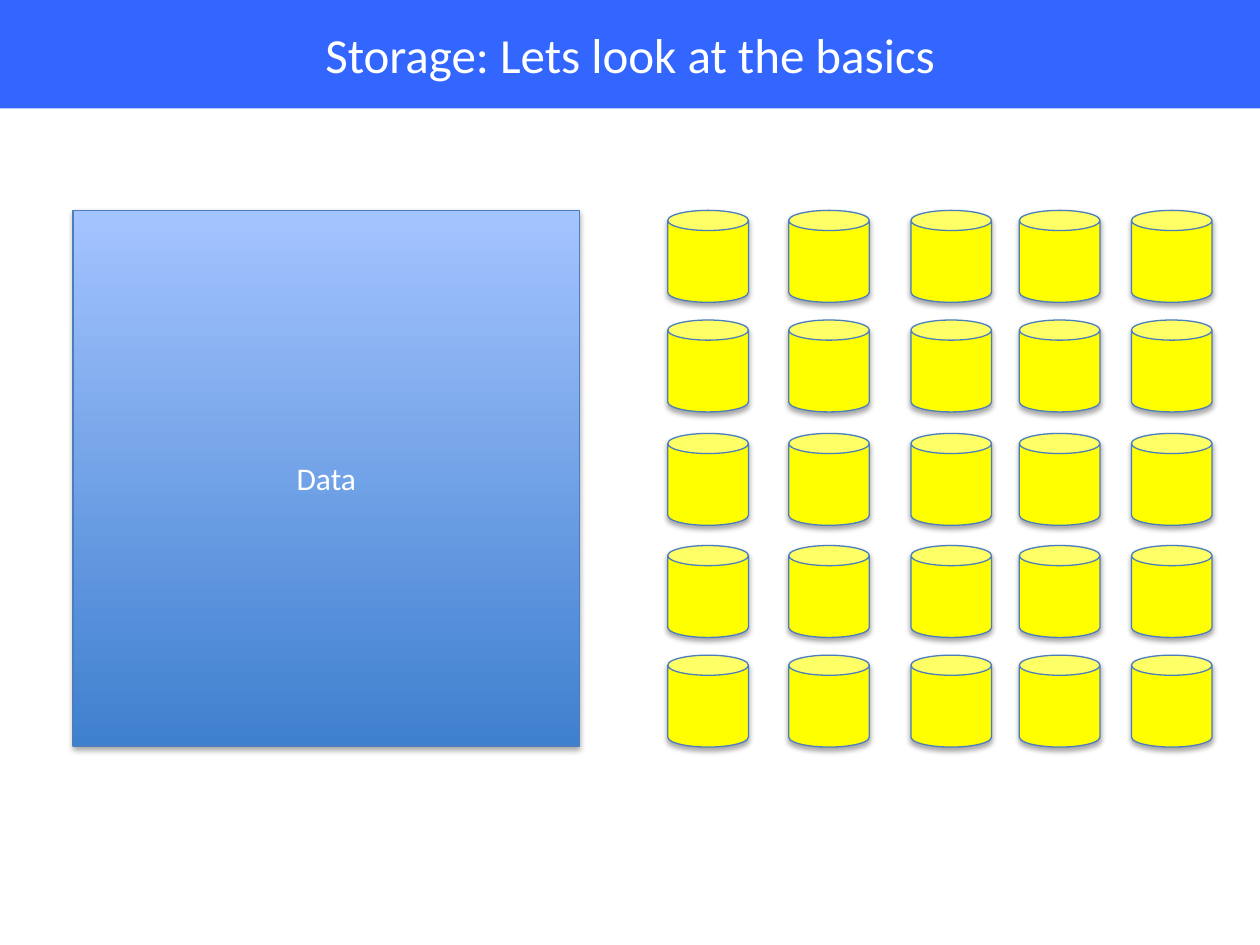
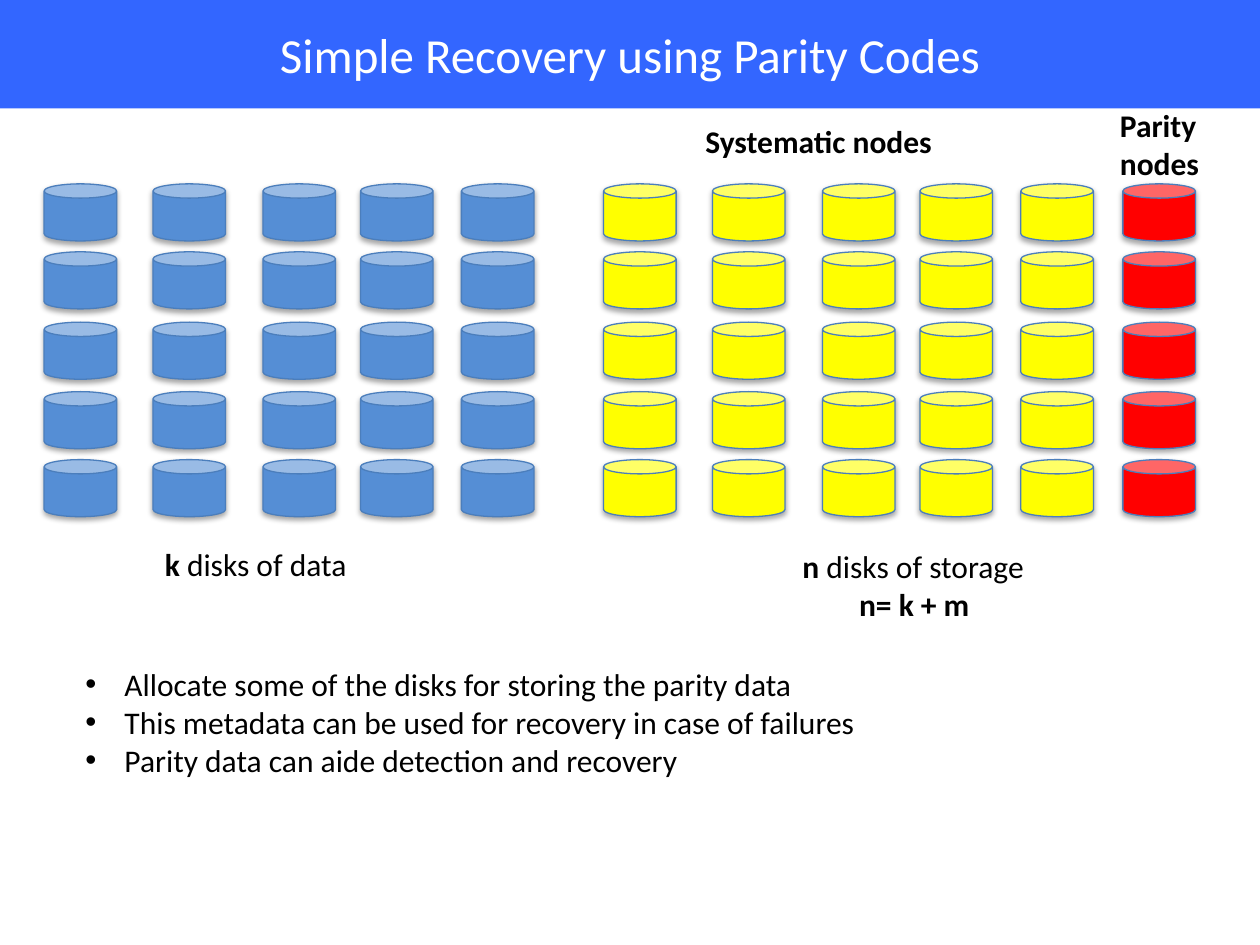
import pptx
import pptx.util
import pptx.dml.color
import pptx.enum.shapes
import pptx.enum.text
import pptx.oxml
import pptx.oxml.ns

Inches = pptx.util.Inches
Pt = pptx.util.Pt
Shape = pptx.enum.shapes.MSO_SHAPE
Align = pptx.enum.text.PP_ALIGN
Anchor = pptx.enum.text.MSO_ANCHOR
Fit = pptx.enum.text.MSO_AUTO_SIZE

HUES = {"band": "3366FF", "white": "FFFFFF", "black": "000000",
        "line": "4B7EBC", "disk": "FFFF00", "data": "558ED5",
        "parity": "FF0000", "dark": "3F80CE", "light": "A4C4FF"}
FONT = "Calibri"

TITLES = ["Storage: Lets look at the basics",
          "Simple Recovery using Parity Codes"]

COLS = [0, 0.96, 1.93, 2.79, 3.68, 4.58]
ROWS = [0, 0.87, 1.77, 2.66, 3.53]
CAN = (0.64, 0.73)
LARGE = (1, 1)
SMALL = (0.9, 0.62)

BANKS = [
    (0, 5.3, 1.67, LARGE, ["disk"] * 5),
    (1, 0.35, 1.46, SMALL, ["data"] * 5),
    (1, 4.79, 1.46, SMALL, ["disk"] * 5 + ["parity"]),
]

NOTES = [
    ((1.21, 4.28, 1.66, 0.4), [[("k", True), (" disks of data", False)]], 0),
    ((6.27, 4.29, 1.99, 0.71), [[("n", True), (" disks of storage", False)],
                                [("n= k + m", True)]], 0.45),
    ((5.5, 0.92, 2.03, 0.4), [[("Systematic nodes", True)]], 0),
    ((8.79, 0.79, 0.84, 0.71), [[("Parity", True)], [("nodes", True)]], 0),
]

POINTS = ["Allocate some of the disks for storing the parity data",
          "This metadata can be used for recovery in case of failures",
          "Parity data can aide detection and recovery"]


def rgb(name):
    return pptx.dml.color.RGBColor.from_string(HUES[name])


def style(para, size, hue):
    para.font.name = FONT
    para.font.size = Pt(size)
    para.font.color.rgb = rgb(hue)


def paint(shape, hue):
    shape.fill.solid()
    shape.fill.fore_color.rgb = rgb(hue)


def edge(shape):
    shape.line.color.rgb = rgb("line")
    shape.line.width = Pt(0.75)
    shape.shadow.inherit = False
    glow = shape._element.spPr.find(pptx.oxml.ns.qn("a:effectLst"))
    glow.append(pptx.oxml.parse_xml(
        f'<a:outerShdw {pptx.oxml.ns.nsdecls("a")} blurRad="{Pt(3.1)}" '
        f'dist="{Pt(1.8)}" dir="5400000" rotWithShape="0">'
        f'<a:srgbClr val="{HUES["black"]}"><a:alpha val="35000"/></a:srgbClr>'
        '</a:outerShdw>'))


def start(text):
    slide = deck.slides.add_slide(deck.slide_layouts[5])
    title = slide.shapes.title
    title.left, title.top = 0, 0
    title.width, title.height = deck.slide_width, Inches(0.86)
    paint(title, "band")
    title.text_frame.text = text
    title.text_frame.vertical_anchor = Anchor.MIDDLE
    para = title.text_frame.paragraphs[0]
    para.alignment = Align.CENTER
    style(para, 28, "white")
    return slide


def bank(slide, left, top, scale, hues):
    group = slide.shapes.add_group_shape()
    wide, high = scale
    for col, hue in zip(COLS, hues):
        for row in ROWS:
            can = group.shapes.add_shape(
                Shape.CAN, Inches(left + col * wide), Inches(top + row * high),
                Inches(CAN[0] * wide), Inches(CAN[1] * high))
            paint(can, hue)
            edge(can)


def block(slide, box):
    shape = slide.shapes.add_shape(Shape.RECTANGLE, *map(Inches, box))
    shape.fill.gradient()
    shape.fill.gradient_angle = 90
    for stop, hue in zip(shape.fill.gradient_stops, ("dark", "light")):
        stop.color.rgb = rgb(hue)
    edge(shape)
    shape.text_frame.text = "Data"
    shape.text_frame.vertical_anchor = Anchor.MIDDLE
    para = shape.text_frame.paragraphs[0]
    para.alignment = Align.CENTER
    style(para, 18, "white")


def note(slide, box, lines):
    frame = slide.shapes.add_textbox(*map(Inches, box)).text_frame
    frame.word_wrap = False
    frame.auto_size = Fit.SHAPE_TO_FIT_TEXT
    for num, line in enumerate(lines):
        para = frame.add_paragraph() if num else frame.paragraphs[0]
        style(para, 18, "black")
        for text, bold in line:
            run = para.add_run()
            run.text = text
            run.font.bold = bold
    return frame.paragraphs


def indent(para, left, hang=0):
    props = para._p.get_or_add_pPr()
    props.set("marL", str(Inches(left)))
    props.set("indent", str(Inches(-hang)))
    return props


def bullet(para):
    props = indent(para, 0.31, 0.31)
    mark = pptx.oxml.parse_xml(
        f'<a:buChar {pptx.oxml.ns.nsdecls("a")} char="•"/>')
    face = pptx.oxml.parse_xml(
        f'<a:buFont {pptx.oxml.ns.nsdecls("a")} typeface="Arial"/>')
    props.insert(0, face)
    props.insert(1, mark)


deck = pptx.Presentation()
deck.slide_width, deck.slide_height = Inches(10), Inches(7.5)
slides = [start(text) for text in TITLES]

for page, *parts in BANKS:
    bank(slides[page], *parts)

block(slides[0], (0.58, 1.67, 4.02, 4.25))

for box, lines, inset in NOTES:
    paras = note(slides[1], box, lines)
    if inset:
        indent(paras[-1], inset)

for para in note(slides[1], (0.58, 5.23, 6.4, 1.01),
                 [[(text, False)] for text in POINTS]):
    bullet(para)

deck.save("out.pptx")
